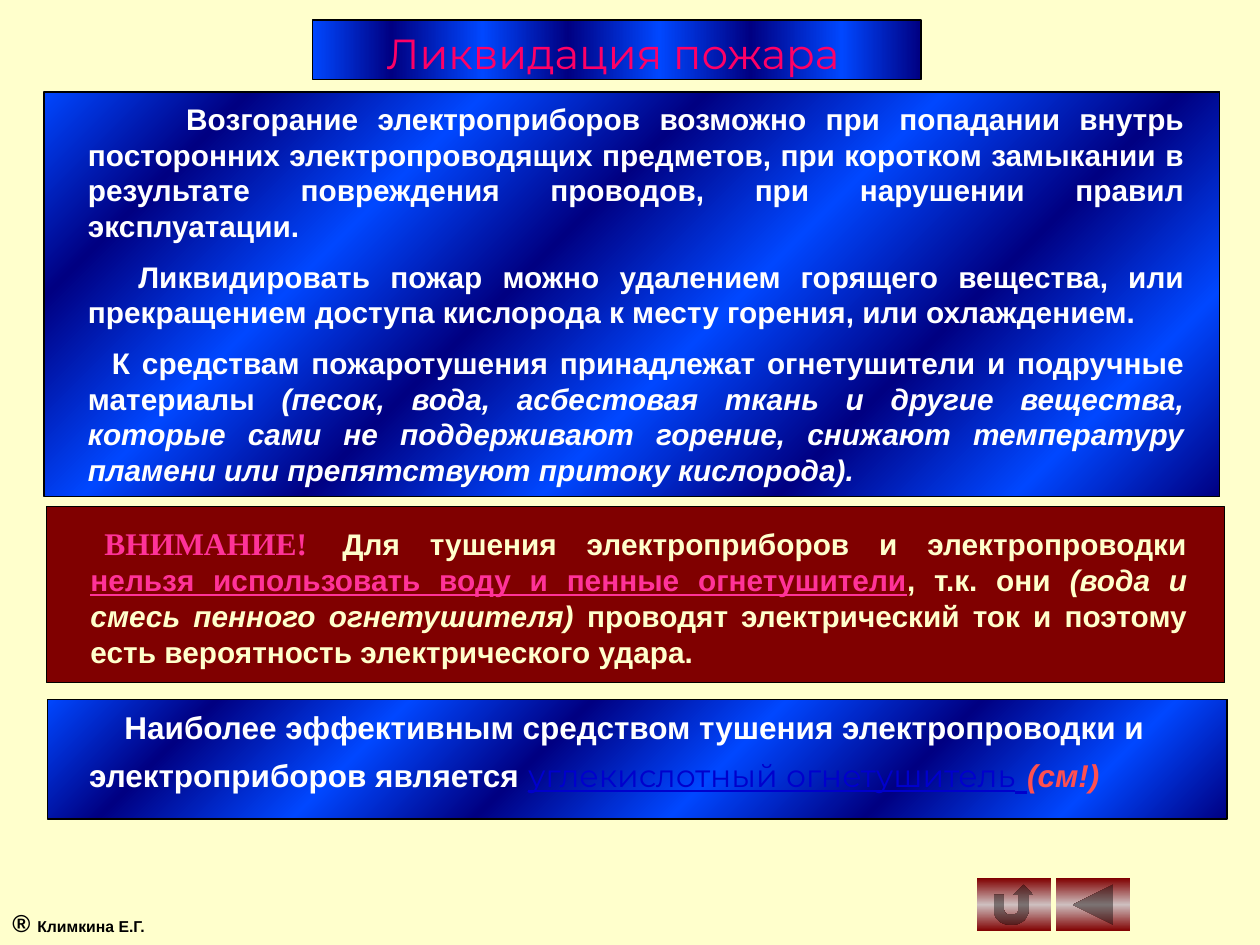
from lxml import etree
from pptx import Presentation
from pptx.dml.color import RGBColor
from pptx.enum.shapes import MSO_SHAPE as Shape
from pptx.enum.text import MSO_ANCHOR as Anchor, PP_ALIGN as Align
from pptx.oxml.ns import qn
from pptx.util import Inches, Pt

COLOURS = {
    "cream": "FFFFCC", "white": "FFFFFF", "black": "000000",
    "bright": "0047FF", "navy": "000082", "maroon": "800000",
    "silver": "CEBFBF", "crimson": "FF0066", "pink": "FF3399",
    "link": "0000CC", "coral": "FF5050",
}
COLUMNS, ROWS = 100, 75
SAPPHIRE = [(at, ("bright", "navy")[i % 2])
            for i, at in enumerate((0, 13, 28, 42, 57, 72, 87, 100))]
METAL = [(0, "maroon"), (50, "silver"), (100, "maroon")]


def style(size, colour, font="Arial", bold=True, italic=False, underline=False):
    return size, colour, font, bold, italic, underline


class SlideBuilder:
    """Holds the slide and its style; lengths are grid columns and rows."""

    def __init__(self, deck):
        self.slide = deck.slides.add_slide(deck.slide_layouts[6])
        self.column = deck.slide_width / COLUMNS
        self.row = deck.slide_height / ROWS
        self.slide.background.fill.solid()
        self.slide.background.fill.fore_color.rgb = self.rgb("cream")

    def rgb(self, name):
        return RGBColor.from_string(COLOURS[name])

    def place(self, left, top, width, height):
        return (int(left * self.column), int(top * self.row),
                int(width * self.column), int(height * self.row))

    def gradient(self, shape, stops, angle):
        shape.fill.gradient()
        grad = shape._element.spPr.find(qn("a:gradFill"))
        stop_list = grad.find(qn("a:gsLst"))
        for stop in list(stop_list):
            stop_list.remove(stop)
        for at, colour in stops:
            stop = etree.SubElement(stop_list, qn("a:gs"), pos=str(at * 1000))
            etree.SubElement(stop, qn("a:srgbClr"), val=COLOURS[colour])
        grad.find(qn("a:lin")).set("ang", str(angle * 60000))

    def block(self, box, fill, angle=45, kind=Shape.RECTANGLE, outline=True,
              parent=None):
        shape = (parent or self.slide).shapes.add_shape(kind, *self.place(*box))
        shape.shadow.inherit = False
        if isinstance(fill, str):
            shape.fill.solid()
            shape.fill.fore_color.rgb = self.rgb(fill)
        else:
            self.gradient(shape, fill, angle)
        if outline:
            shape.line.color.rgb = self.rgb("black")
            shape.line.width = Pt(0.75)
        else:
            shape.line.fill.background()

    def text(self, box, paragraphs, align=Align.LEFT, parent=None):
        """Each paragraph is (first-line indent, tab stop, runs)."""
        frame = (parent or self.slide).shapes.add_textbox(*self.place(*box)).text_frame
        frame.word_wrap = True
        frame.vertical_anchor = Anchor.TOP
        for i, (indent, tab, runs) in enumerate(paragraphs):
            paragraph = frame.add_paragraph() if i else frame.paragraphs[0]
            paragraph.alignment = align
            paragraph.space_before = Pt(8.5)
            props = paragraph._p.get_or_add_pPr()
            props.set("indent", str(Inches(indent)))
            if tab:
                tabs = etree.SubElement(props, qn("a:tabLst"))
                etree.SubElement(tabs, qn("a:tab"), pos=str(Inches(tab)), algn="l")
            for words, (size, colour, face, bold, italic, underline) in runs:
                run = paragraph.add_run()
                run.text = words
                font = run.font
                font.size, font.name = Pt(size), face
                font.bold, font.italic, font.underline = bold, italic, underline
                font.color.rgb = self.rgb(colour)

    def panel(self, box, fill, text_box, paragraphs, align=Align.JUSTIFY):
        group = self.slide.shapes.add_group_shape()
        self.block(box, fill, parent=group)
        self.text(text_box, paragraphs, align, parent=group)


def main():
    deck = Presentation()
    deck.slide_width, deck.slide_height = Inches(10), Inches(7.5)
    page = SlideBuilder(deck)

    # Title
    page.block((24.8, 1.6, 48.3, 4.7), SAPPHIRE, angle=0)
    page.text((29.7, 1.7, 40.1, 5), [
        (0, None, [("Ликвидация пожара", style(24, "crimson", "Montserrat", False))])])

    # Causes of fire and ways to put it out
    body = style(17, "white")
    page.panel((3.5, 7.3, 93.3, 32.1), SAPPHIRE, (6, 7.5, 89, 32.2), [
        (0.78, None, [("Возгорание электроприборов возможно при попадании внутрь "
                       "посторонних электропроводящих предметов, при коротком замыкании "
                       "в результате повреждения проводов, при нарушении правил "
                       "эксплуатации.", body)]),
        (0.4, None, [("Ликвидировать пожар можно удалением горящего вещества, или "
                      "прекращением доступа кислорода к месту горения, или "
                      "охлаждением.", body)]),
        (0.19, None, [("К средствам пожаротушения принадлежат огнетушители и подручные "
                       "материалы ", body),
                      ("(песок, вода, асбестовая ткань и другие вещества, которые сами "
                       "не поддерживают горение, снижают температуру пламени или "
                       "препятствуют притоку кислорода).",
                       style(17, "white", italic=True))]),
    ])

    # Warning
    warning = style(17, "cream")
    page.panel((3.7, 40.2, 93.5, 14), "maroon", (6.2, 41.1, 89, 12.5), [
        (0.11, 2.5, [
            ("ВНИМАНИЕ!\t", style(18, "pink", "Times New Roman")),
            ("Для тушения электроприборов и электропроводки ", warning),
            ("нельзя использовать воду и пенные огнетушители",
             style(17, "pink", underline=True)),
            (", т.к. они ", warning),
            ("(вода и смесь пенного огнетушителя) ", style(17, "cream", italic=True)),
            ("проводят электрический ток и поэтому есть вероятность "
             "электрического удара.", warning)])])

    # Best extinguisher
    page.panel((3.8, 55.5, 93.6, 9.5), SAPPHIRE, (6.1, 55.7, 89, 8), [
        (0.28, None, [
            ("Наиболее эффективным средством тушения электропроводки и "
             "электроприборов является ", style(18, "white")),
            ("углекислотный огнетушитель",
             style(18, "link", "Montserrat", False, underline=True)),
            (" ", style(24, "link", underline=True)),
            ("(см!)", style(18, "coral", italic=True))])], Align.LEFT)

    # Navigation buttons
    for left, kind in ((83.8, Shape.ACTION_BUTTON_BACK_OR_PREVIOUS),
                       (77.5, Shape.ACTION_BUTTON_RETURN)):
        page.block((left, 69.7, 5.9, 4.2), METAL, 90, kind, outline=False)

    # Author
    page.text((0, 71.6, 27.5, 3.3), [
        (0, None, [("® ", style(14, "black")),
                   ("Климкина Е.Г.", style(9, "black"))])], Align.JUSTIFY)

    deck.save("out.pptx")


if __name__ == "__main__":
    main()
